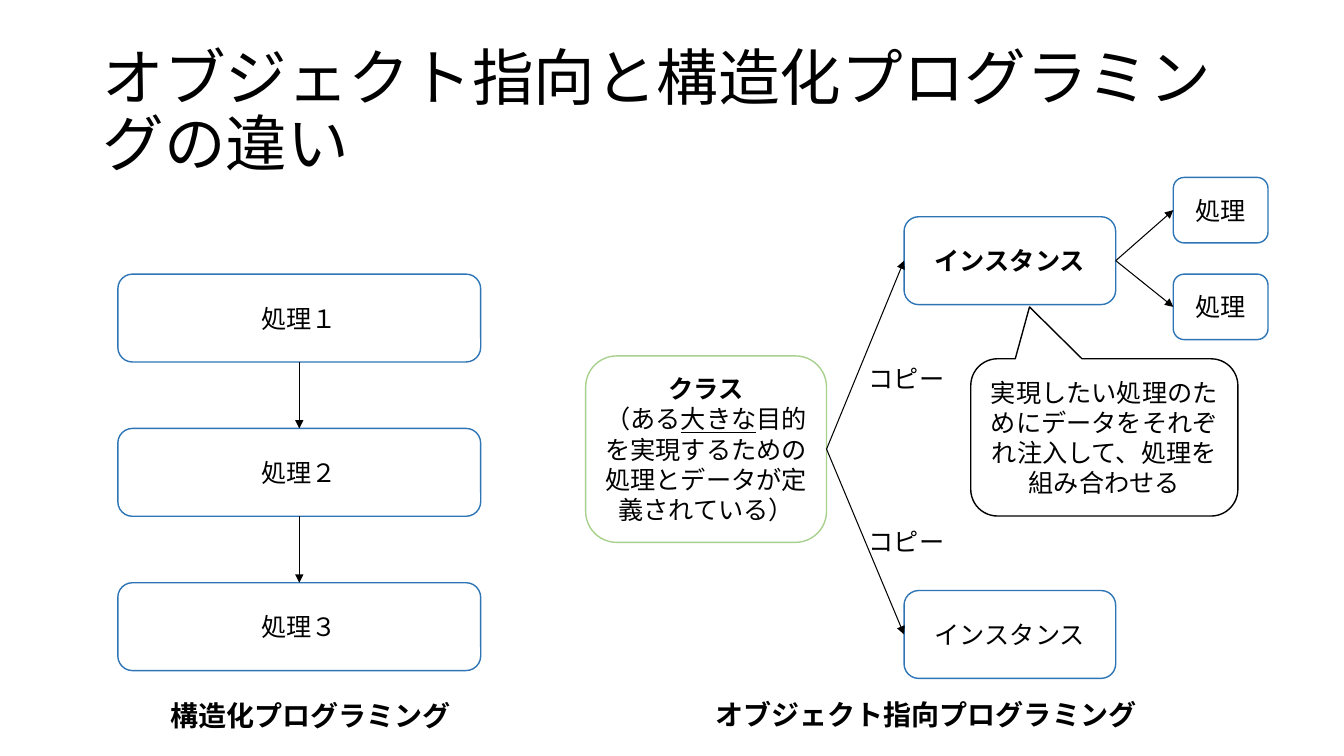
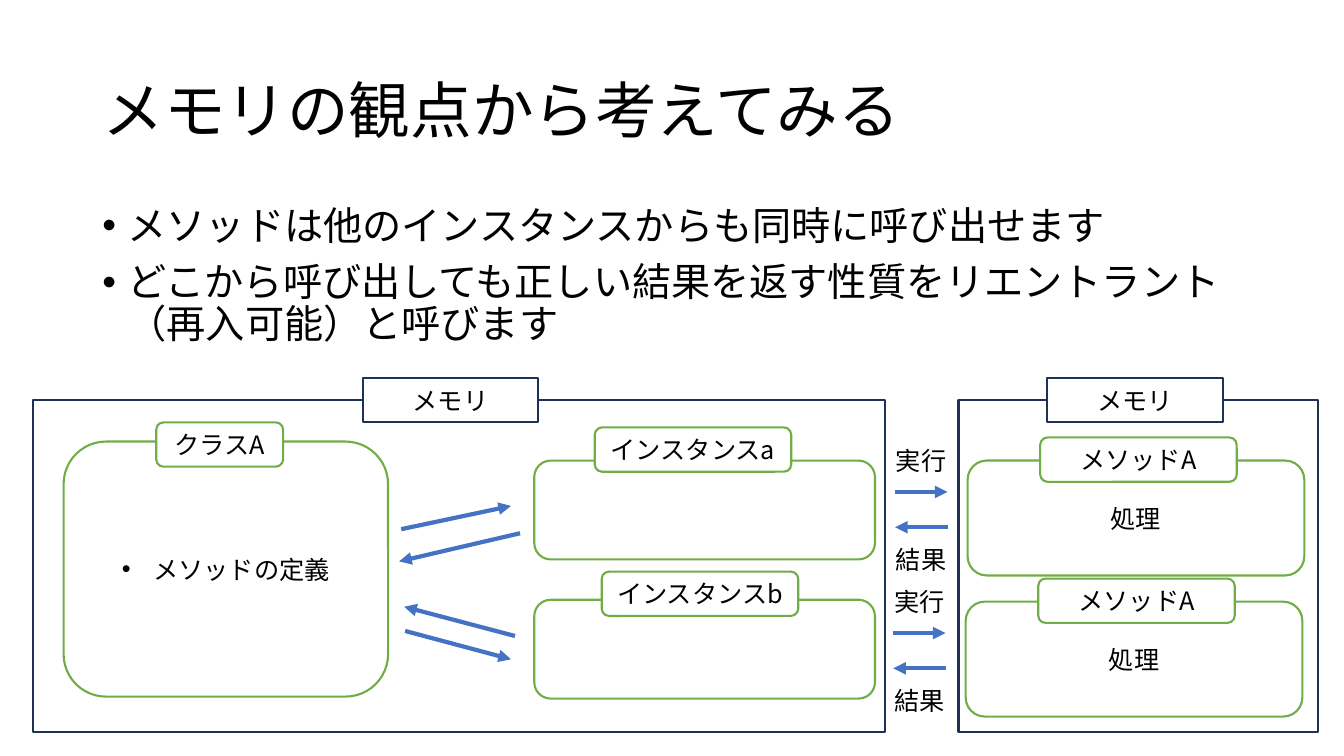
from dataclasses import dataclass
from typing import NamedTuple

from lxml.etree import SubElement
from pptx import Presentation
from pptx.dml.color import RGBColor
from pptx.enum.shapes import MSO_CONNECTOR, MSO_SHAPE as Preset
from pptx.enum.text import MSO_ANCHOR as Anchor, MSO_AUTO_SIZE as AutoSize, PP_ALIGN as Align
from pptx.oxml.ns import qn
from pptx.shapes.autoshape import Shape
from pptx.shapes.connector import Connector
from pptx.slide import Slide
from pptx.text.text import TextFrame
from pptx.util import Pt

FONT = "Noto Sans CJK JP"
COLORS = {
    "text": "000000",
    "paper": "FFFFFF",
    "process": "2E75B6",
    "class": "A9D18E",
    "memory": "1E3256",
    "object": "70AD47",
    "call": "4472C4",
}
TOP, LEFT, BOTTOM, RIGHT = range(4)


class Box(NamedTuple):
    left: float
    top: float
    width: float
    height: float

    def moved(self, dx: float, dy: float) -> "Box":
        return self._replace(left=self.left + dx, top=self.top + dy)


class Arrow(NamedTuple):
    x1: float
    y1: float
    x2: float
    y2: float

    def moved(self, dx: float, dy: float) -> "Arrow":
        return Arrow(self.x1 + dx, self.y1 + dy, self.x2 + dx, self.y2 + dy)


@dataclass(frozen=True)
class Outline:
    color: str
    width: float
    preset: Preset = Preset.ROUNDED_RECTANGLE
    filled: bool = True


@dataclass(frozen=True)
class Panel:
    box: Box
    tab: Box
    title: str
    content: str = ""
    bullet: bool = False

    def moved(self, dx: float, dy: float) -> "Panel":
        return Panel(self.box.moved(dx, dy), self.tab.moved(dx, dy),
                     self.title, self.content, self.bullet)


PROCESS = Outline("process", 1)
CLASS = Outline("class", 1)
CALLOUT = Outline("text", 1, Preset.ROUNDED_RECTANGULAR_CALLOUT)
OBJECT = Outline("object", 1.5)
MEMORY_FRAME = Outline("memory", 1.5, Preset.RECTANGLE, filled=False)
MEMORY_TAB = Outline("memory", 1.5, Preset.RECTANGLE)

TITLE_BOX = Box(66, 28.8, 828, 104.4)
BODY_BOX = Box(66, 143.8, 828, 342.6)


def rgb(color: str) -> RGBColor:
    return RGBColor.from_string(COLORS[color])


def style_text(frame: TextFrame, size: float, align: Align = Align.LEFT,
               bold: bool = False) -> None:
    for paragraph in frame.paragraphs:
        paragraph.alignment = align
        for run in paragraph.runs:
            run.font.size = Pt(size)
            run.font.bold = bold
            run.font.name = FONT
            run.font.color.rgb = rgb("text")
            SubElement(run.font._element, qn("a:ea")).set("typeface", FONT)


def add_bullets(frame: TextFrame, indent: float) -> None:
    for paragraph in frame.paragraphs:
        properties = paragraph._p.get_or_add_pPr()
        properties.set("marL", str(Pt(indent)))
        properties.set("indent", str(-Pt(indent)))
        SubElement(properties, qn("a:buFont")).set("typeface", "Arial")
        SubElement(properties, qn("a:buChar")).set("char", "•")


def fill_placeholder(holder: Shape, box: Box, text: str, size: float) -> TextFrame:
    holder.left, holder.top, holder.width, holder.height = map(Pt, box)
    frame = holder.text_frame
    frame.text = text
    frame.auto_size = AutoSize.NONE
    style_text(frame, size)
    for paragraph in frame.paragraphs:
        paragraph.line_spacing = 0.9
    return frame


def add_titled_slide(deck: Presentation, layout: int, title: str) -> Slide:
    slide = deck.slides.add_slide(deck.slide_layouts[layout])
    frame = fill_placeholder(slide.shapes.title, TITLE_BOX, title, 44)
    frame.vertical_anchor = Anchor.MIDDLE
    return slide


def add_box(slide: Slide, box: Box, outline: Outline, text: str = "",
            bold: bool = False) -> Shape:
    shape = slide.shapes.add_shape(outline.preset, *map(Pt, box))
    shape.shadow.inherit = False
    if outline.filled:
        shape.fill.solid()
        shape.fill.fore_color.rgb = rgb("paper")
    else:
        shape.fill.background()
    shape.line.color.rgb = rgb(outline.color)
    shape.line.width = Pt(outline.width)
    if text:
        shape.text_frame.text = text
        shape.text_frame.vertical_anchor = Anchor.MIDDLE
        style_text(shape.text_frame, 18, Align.CENTER, bold)
    return shape


def add_label(slide: Slide, box: Box, text: str, size: float = 18,
              bold: bool = False, wrap: bool = False) -> None:
    frame = slide.shapes.add_textbox(*map(Pt, box)).text_frame
    frame.text = text
    frame.word_wrap = wrap
    frame.auto_size = AutoSize.SHAPE_TO_FIT_TEXT
    style_text(frame, size, bold=bold)


def add_arrow(slide: Slide, arrow: Arrow, color: str, width: float) -> Connector:
    connector = slide.shapes.add_connector(MSO_CONNECTOR.STRAIGHT, *map(Pt, arrow))
    connector.line.color.rgb = rgb(color)
    connector.line.width = Pt(width)
    SubElement(connector.line._get_or_add_ln(), qn("a:tailEnd")).set("type", "triangle")
    SubElement(connector._element.spPr, qn("a:effectLst"))
    return connector


def join(slide: Slide, source: Shape, source_side: int,
         target: Shape, target_side: int) -> None:
    connector = add_arrow(slide, Arrow(0, 0, 0, 0), "text", 0.75)
    connector.begin_connect(source, source_side)
    connector.end_connect(target, target_side)


def add_panel(slide: Slide, panel: Panel) -> None:
    body = add_box(slide, panel.box, OBJECT, panel.content)
    if panel.bullet:
        add_bullets(body.text_frame, 22.5)
    add_box(slide, panel.tab, OBJECT, panel.title)


def add_class(slide: Slide) -> Shape:
    definition = add_box(slide, Box(418.3, 254.2, 172.1, 133.2), CLASS)
    frame = definition.text_frame
    frame.text = "クラス\n"
    frame.vertical_anchor = Anchor.MIDDLE
    name, purpose = frame.paragraphs
    for part in ("（ある", "大きな", "目的を実現するための処理とデータが定義されている）"):
        purpose.add_run().text = part
    style_text(frame, 18, Align.CENTER)
    name.runs[0].font.bold = True
    purpose.runs[1].font.underline = True
    return definition


def build_comparison(deck: Presentation) -> None:
    slide = add_titled_slide(deck, 5, "オブジェクト指向と構造化プログラミングの違い")
    first_step = Box(84.2, 195.8, 259.2, 62.8)
    steps = [add_box(slide, first_step.moved(0, 110.2 * index), PROCESS, f"処理{digit}")
             for index, digit in enumerate("１２３")]
    for source, target in zip(steps, steps[1:]):
        join(slide, source, BOTTOM, target, TOP)

    definition = add_class(slide)
    upper = Box(645.8, 154.8, 151.2, 62.8)
    instances = [add_box(slide, upper.moved(0, dy), PROCESS, "インスタンス", bold)
                 for dy, bold in ((0, True), (267, False))]
    for instance, label_top in zip(instances, (255.6, 372.2)):
        join(slide, definition, RIGHT, instance, LEFT)
        add_label(slide, Box(613.4, label_top, 72, 29), "コピー", wrap=True)

    note = add_box(slide, Box(693.4, 256.3, 190.8, 112.3), CALLOUT,
                   "実現したい処理のためにデータをそれぞれ注入して、処理を組み合わせる")
    for index, value in enumerate((-0.28, -0.83, 0.17)):
        note.adjustments[index] = value

    for top in (126.7, 195.8):
        operation = add_box(slide, Box(838.1, top, 67.7, 46.8), PROCESS, "処理")
        join(slide, instances[0], RIGHT, operation, LEFT)

    add_label(slide, Box(114.5, 495.4, 216.7, 31.7), "構造化プログラミング", 20, True)
    add_label(slide, Box(504, 494.6, 317.5, 31.7), "オブジェクト指向プログラミング", 20, True)


def build_memory(deck: Presentation) -> None:
    slide = add_titled_slide(deck, 1, "メモリの観点から考えてみる")
    points = fill_placeholder(
        slide.placeholders[1], BODY_BOX,
        "メソッドは他のインスタンスからも同時に呼び出せます\n"
        "どこから呼び出しても正しい結果を返す性質をリエントラント（再入可能）と呼びます", 28)
    points.vertical_anchor = Anchor.TOP
    for paragraph in points.paragraphs:
        paragraph.space_before = Pt(10)
    add_bullets(points, 18)

    for left, width, tab_left in ((23.8, 608.4, 259.2), (684.7, 257, 748.1)):
        add_box(slide, Box(left, 285.8, width, 236.9), MEMORY_FRAME)
        add_box(slide, Box(tab_left, 270, 125.3, 31.7), MEMORY_TAB, "メモリ")

    add_panel(slide, Panel(Box(45.4, 315.4, 231.8, 182.2), Box(111.6, 301.7, 90.7, 31.7),
                           "クラスA", "メソッドの定義", bullet=True))
    instance = Box(381.6, 329, 243.4, 70.6)
    instance_tab = Box(424.8, 305.3, 140.4, 31.7)
    add_panel(slide, Panel(instance, instance_tab, "インスタンスa"))
    add_panel(slide, Panel(instance.moved(0, 99.4), instance_tab.moved(5, 103),
                           "インスタンスb"))

    method = Panel(Box(691.2, 329, 240.5, 82.1), Box(743, 312.5, 140.4, 31.7),
                   "メソッドA", "処理")
    run_label = Box(632.9, 314.6, 51.1, 29)
    run_arrow = Arrow(639.4, 351.4, 676.8, 351.4)
    result_arrow = Arrow(676.8, 376.6, 639.4, 376.6)
    for dx, dy in ((0, 0), (-1.4, 100.8)):
        add_panel(slide, method.moved(dx, dy))
        add_label(slide, run_label.moved(dx, dy), "実行")
        add_label(slide, run_label.moved(dx, dy + 70.6), "結果")
        for arrow in (run_arrow, result_arrow):
            add_arrow(slide, arrow.moved(dx, dy), "call", 3)

    for arrow in (
        Arrow(286.6, 378, 365, 361.4),
        Arrow(371.5, 380.9, 285.1, 401),
        Arrow(367.9, 454.3, 288.7, 433.4),
        Arrow(289.4, 450.7, 365, 470.9),
    ):
        add_arrow(slide, arrow, "call", 3)


def main() -> None:
    deck = Presentation()
    deck.slide_width, deck.slide_height = Pt(960), Pt(540)
    build_comparison(deck)
    build_memory(deck)
    deck.save("out.pptx")


if __name__ == "__main__":
    main()
